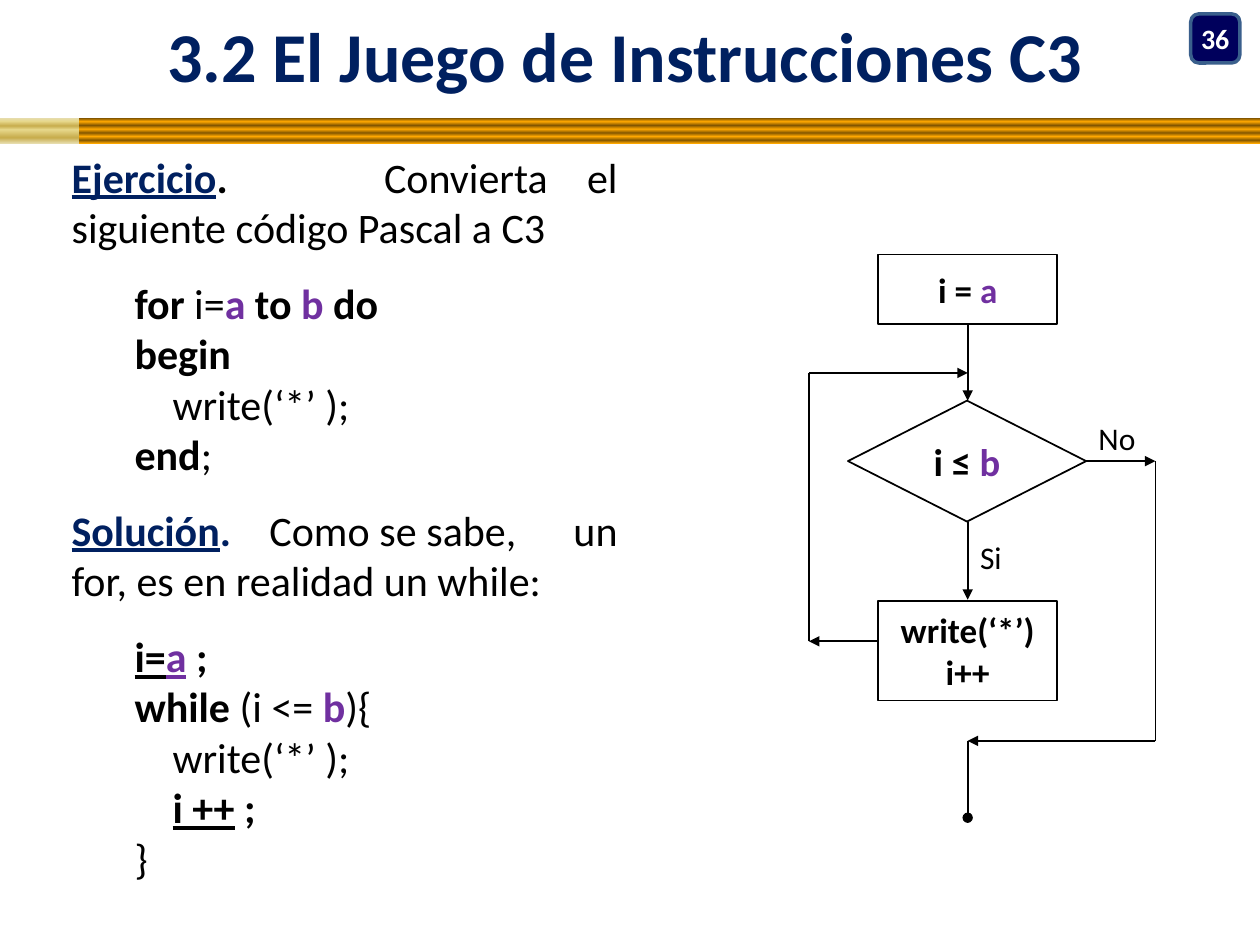
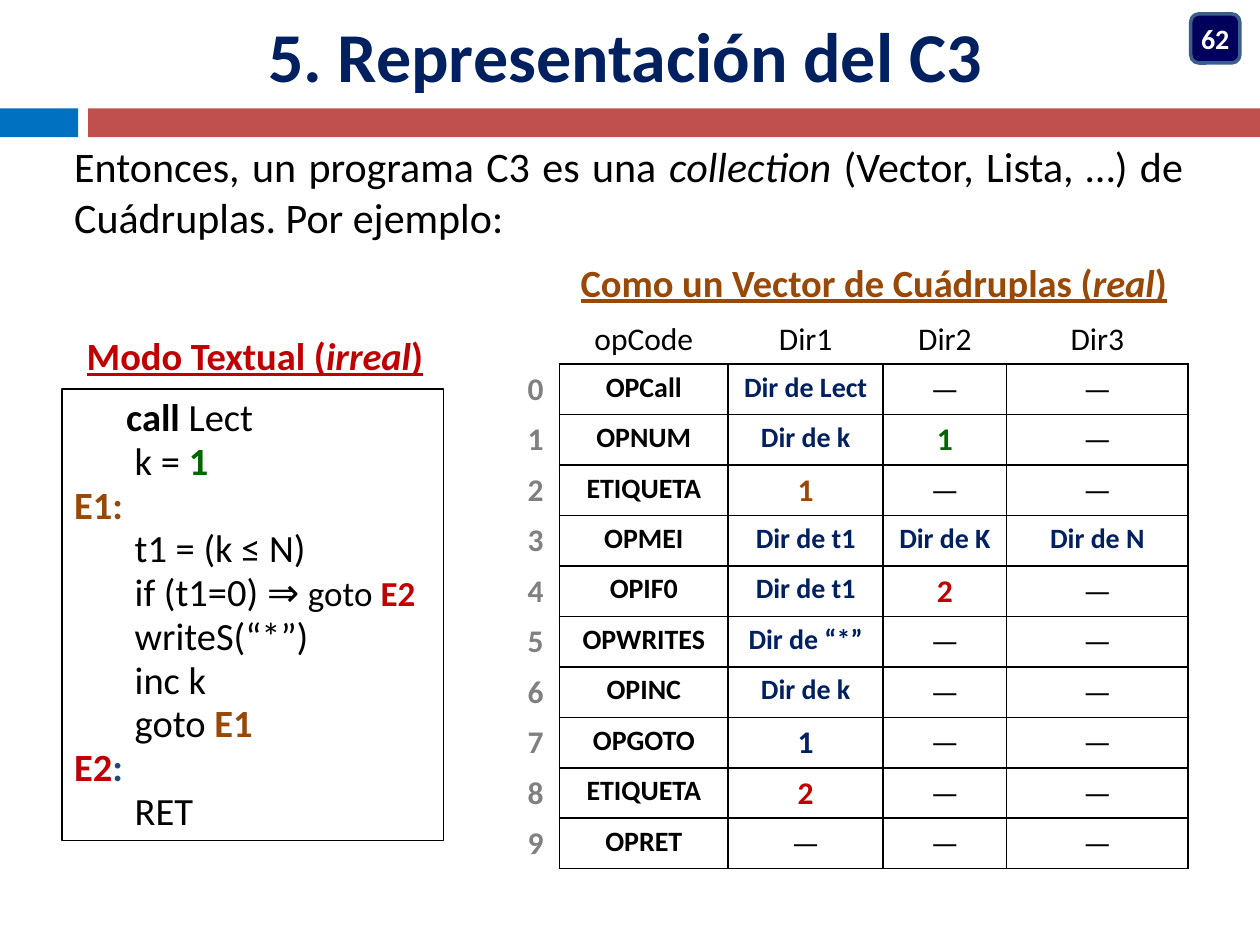
import pptx
import pptx.util
import pptx.dml.color
import pptx.enum.shapes
import pptx.enum.text
import pptx.oxml.ns
from lxml import etree

Inches, Pt = pptx.util.Inches, pptx.util.Pt
RGBColor = pptx.dml.color.RGBColor
SHAPE = pptx.enum.shapes.MSO_SHAPE
ALIGN = pptx.enum.text.PP_ALIGN
ANCHOR = pptx.enum.text.MSO_ANCHOR
FIT = pptx.enum.text.MSO_AUTO_SIZE
qn = pptx.oxml.ns.qn

NAVY = RGBColor(0x00, 0x20, 0x60)
PURPLE = RGBColor(0x70, 0x30, 0xA0)
BLACK = RGBColor(0x00, 0x00, 0x00)
WHITE = RGBColor(0xFF, 0xFF, 0xFF)
GREEN = RGBColor(0x00, 0x66, 0x00)
BROWN = RGBColor(0x98, 0x48, 0x07)
RED = RGBColor(0xC0, 0x00, 0x00)
GREY = RGBColor(0x80, 0x80, 0x80)
SLATE = RGBColor(0x1F, 0x49, 0x7D)
BADGE_FILL = RGBColor(0x00, 0x00, 0x5C)
BADGE_LINE = RGBColor(0x3A, 0x5F, 0x8C)
BLUE_BAND = RGBColor(0x00, 0x70, 0xC0)
RED_BAND = RGBColor(0xC0, 0x50, 0x4D)

BOLD = dict(bold=True)
UNDERLINED = dict(bold=True, underline=True)
VARIABLE = dict(bold=True, color=PURPLE)
HEADING = dict(UNDERLINED, color=NAVY)


def write(frame, paragraphs, layout, base):
    for number, (extra, runs) in enumerate(paragraphs):
        paragraph = frame.paragraphs[0] if number == 0 else frame.add_paragraph()
        properties = paragraph._p.get_or_add_pPr()
        for key, value in {**layout, **extra}.items():
            if key == "indent":
                properties.set("marL", str(Inches(value)))
                properties.set("indent", "0")
            elif key == "tabs":
                stops = etree.SubElement(properties, qn("a:tabLst"))
                for stop in value:
                    etree.SubElement(stops, qn("a:tab"), pos=str(Inches(stop)), algn="l")
            else:
                setattr(paragraph, key, value)
        for text, style in runs:
            run = paragraph.add_run()
            run.text = text
            for key, value in {"name": "Calibri", "color": BLACK, **base, **style}.items():
                if key == "color":
                    run.font.color.rgb = value
                else:
                    setattr(run.font, key, value)


def add_box(slide, kind, place, fill=None, line=None, width=1):
    box = slide.shapes.add_shape(kind, *map(Inches, place))
    box.shadow.inherit = False
    if fill is None:
        box.fill.background()
    else:
        box.fill.solid()
        box.fill.fore_color.rgb = fill
    if line is None:
        box.line.fill.background()
    else:
        box.line.color.rgb = line
        box.line.width = Pt(width)
    return box


deck = pptx.Presentation()
deck.slide_width, deck.slide_height = Inches(10), Inches(7.5)
CENTER = dict(alignment=ALIGN.CENTER)
JUSTIFY = dict(alignment=ALIGN.JUSTIFY)

slides = []
for heading, page in (("3.2 El Juego de Instrucciones C3", "36"), ("5. Representación del C3", "62")):
    slide = deck.slides.add_slide(deck.slide_layouts[5])
    slides.append(slide)
    title = slide.shapes.title
    title.left, title.top, title.width, title.height = map(Inches, (0, 0, 9.92, 0.86))
    badge = add_box(slide, SHAPE.ROUNDED_RECTANGLE, (9.45, 0.11, 0.39, 0.39), BADGE_FILL, BADGE_LINE, 2)
    for part, text, size, color, vertical in (
        (title, heading, 40, NAVY, 0),
        (badge, page, 16, WHITE, 0.05),
    ):
        settings = dict(
            margin_left=0, margin_right=0, margin_top=Inches(vertical), margin_bottom=Inches(vertical),
            vertical_anchor=ANCHOR.MIDDLE, auto_size=FIT.NONE,
        )
        for key, value in settings.items():
            setattr(part.text_frame, key, value)
        write(part.text_frame, [({}, [(text, {})])], CENTER, dict(size=Pt(size), bold=True, color=color))
exercise, representation = slides

amber = list(zip((0, 13, 28, 43, 58, 72, 87, 100), ("825600", "FFA800") * 4))
sand = list(zip((0, 12, 30, 45, 77, 100), ("E6DCAC", "E6D78A", "C7AC4C", "E6D78A", "C7AC4C", "E6DCAC")))
for width, stops in ((10, amber), (0.63, sand)):
    band = add_box(exercise, SHAPE.RECTANGLE, (0, 0.94, width, 0.2))
    band.fill.gradient()
    band.fill.gradient_angle = 270
    stop_list = band.element.spPr.find(".//" + qn("a:gsLst"))
    for old in list(stop_list):
        stop_list.remove(old)
    for position, color in stops:
        stop = etree.SubElement(stop_list, qn("a:gs"), pos=str(position * 1000))
        etree.SubElement(stop, qn("a:srgbClr"), val=color)

code = dict(indent=0.5)
code_start = dict(code, space_before=Pt(14.5))
statement = exercise.shapes.add_textbox(*map(Inches, (0.47, 1.15, 4.53, 5.67)))
statement.text_frame.word_wrap = True
write(statement.text_frame, [
    (dict(tabs=[2.48]), [
        ("Ejercicio", HEADING), (".\t", BOLD), ("Convierta el siguiente código Pascal a C3", {})]),
    (code_start, [("for", BOLD), (" i=", {}), ("a ", VARIABLE), ("to ", BOLD), ("b", VARIABLE), (" do", BOLD)]),
    (code, [("begin", BOLD)]),
    (code, [("    write(‘*’ );", {})]),
    (code, [("end", BOLD), (";", {})]),
    (dict(space_before=Pt(14.5), tabs=[1.57, 3.98]), [
        ("Solución", HEADING), (".", dict(bold=True, color=NAVY)),
        ("\tComo se sabe,\tun for, es en realidad un while:", {})]),
    (code_start, [("i=", UNDERLINED), ("a", dict(VARIABLE, underline=True)), (" ;", BOLD)]),
    (code, [("while ", BOLD), ("(i <= ", {}), ("b", VARIABLE), ("){", {})]),
    (code, [("    write(‘*’ );", {})]),
    (code, [("    ", {}), ("i ++", UNDERLINED), (" ;", BOLD)]),
    (code, [("}", {})]),
], JUSTIFY, dict(size=Pt(24)))

for kind, place, size, lines in (
    (SHAPE.RECTANGLE, (6.97, 2.02, 1.42, 0.55), 20, [[("i = ", {}), ("a", VARIABLE)]]),
    (SHAPE.FLOWCHART_DECISION, (6.73, 3.18, 1.89, 0.96), 22, [[("i ≤ ", {}), ("b", VARIABLE)]]),
    (SHAPE.RECTANGLE, (6.97, 4.77, 1.42, 0.79), 20, [[("write(‘*’)", {})], [("i++", {})]]),
):
    step = add_box(exercise, kind, place, line=BLACK)
    step.text_frame.vertical_anchor = ANCHOR.MIDDLE
    write(step.text_frame, [({}, runs) for runs in lines], CENTER, dict(size=Pt(size), bold=True))

for text, place in (("No", (8.62, 3.28, 0.5, 0.4)), ("Si", (7.68, 4.22, 0.38, 0.4))):
    branch = exercise.shapes.add_textbox(*map(Inches, place))
    branch.text_frame.word_wrap = False
    branch.text_frame.auto_size = FIT.SHAPE_TO_FIT_TEXT
    write(branch.text_frame, [({}, [(text, {})])], {}, dict(size=Pt(18)))

axis, loop_x, exit_x = 7.68, 6.42, 9.17
for start, end, tip in (
    ((axis, 2.57), (axis, 3.18), "triangle"),
    ((axis, 4.14), (axis, 4.76), "triangle"),
    ((8.62, 3.66), (exit_x, 3.66), "triangle"),
    ((exit_x, 3.66), (exit_x, 5.88), None),
    ((exit_x, 5.88), (axis, 5.88), "triangle"),
    ((axis, 5.88), (axis, 6.49), "oval"),
    ((6.97, 5.09), (loop_x, 5.09), "triangle"),
    ((loop_x, 5.09), (loop_x, 2.96), None),
    ((loop_x, 2.96), (axis, 2.96), "triangle"),
):
    flow = exercise.shapes.add_connector(
        pptx.enum.shapes.MSO_CONNECTOR.STRAIGHT, *map(Inches, start + end))
    flow.line.color.rgb = BLACK
    flow.line.width = Pt(1)
    outline = flow.element.spPr
    if tip:
        etree.SubElement(outline.find(qn("a:ln")), qn("a:tailEnd"), type=tip)
    etree.SubElement(outline, qn("a:effectLst"))

add_box(representation, SHAPE.RECTANGLE, (0, 0.86, 0.62, 0.23), BLUE_BAND)
add_box(representation, SHAPE.RECTANGLE, (0.7, 0.86, 9.3, 0.23), RED_BAND)

intro = representation.shapes.add_textbox(*map(Inches, (0.49, 1.07, 9, 5.67)))
intro.text_frame.word_wrap = True
write(intro.text_frame, [({}, [
    ("Entonces, un programa C3 es una ", {}), ("collection", dict(italic=True)),
    (" (Vector, Lista, …) de Cuádruplas. Por ejemplo:", {}),
])], JUSTIFY, dict(size=Pt(24)))

quadruples = [
    ("OPCall", "Dir de Lect", "—", "—"),
    ("OPNUM", "Dir de k", "1", "—"),
    ("ETIQUETA", "1", "—", "—"),
    ("OPMEI", "Dir de t1", "Dir de K", "Dir de N"),
    ("OPIF0", "Dir de t1", "2", "—"),
    ("OPWRITES", "Dir de “*”", "—", "—"),
    ("OPINC", "Dir de k", "—", "—"),
    ("OPGOTO", "1", "—", "—"),
    ("ETIQUETA", "2", "—", "—"),
    ("OPRET", "—", "—", "—"),
]
number_colors = {(1, 2): GREEN, (2, 1): BROWN, (4, 2): RED, (7, 1): NAVY, (8, 1): RED}
rows = [("", "opCode", "Dir1", "Dir2", "Dir3")]
rows += [(str(index), *quadruple) for index, quadruple in enumerate(quadruples)]

vector = representation.shapes.add_table(12, 5, *map(Inches, (4.06, 2.02, 5.37, 4.93))).table
vector.first_row = vector.horz_banding = False
vector._tbl.tblPr.find(qn("a:tableStyleId")).text = "{2D5ABB26-0587-4C30-8999-92F81FD0307C}"
for column, width in zip(vector.columns, (0.38, 1.34, 1.23, 0.98, 1.44)):
    column.width = Inches(width)
for row in vector.rows:
    row.height = Inches(0.4)
vector.rows[0].height = Inches(0.47)
vector.cell(0, 1).merge(vector.cell(0, 4))
write(vector.cell(0, 1).text_frame, [({}, [
    ("Como un Vector de Cuádruplas (", {}), ("real", dict(italic=True)), (")", {}),
])], CENTER, dict(UNDERLINED, size=Pt(22), color=BROWN))

for r, row in enumerate(rows, 1):
    for c, text in enumerate(row):
        cell = vector.cell(r, c)
        cell.fill.background()
        style = dict(size=Pt(18), bold=r > 1 and text != "—")
        if c == 0:
            style.update(color=GREY)
        elif r > 1 and c == 1:
            style.update(size=Pt(16))
        elif text.startswith("Dir de"):
            style.update(size=Pt(16), color=NAVY)
        elif text.isdigit():
            style.update(color=number_colors[r - 2, c - 1])
        if text:
            write(cell.text_frame, [({}, [(text, style)])], CENTER, {})
        sides = ("LRTB" if c else "R") if r > 1 else ("B" if c else "")
        for place, side in enumerate(sides):
            edge = etree.Element(qn("a:ln" + side), w=str(Pt(1)))
            fill = etree.SubElement(edge, qn("a:solidFill"))
            etree.SubElement(fill, qn("a:srgbClr"), val=str(BLACK))
            cell._tc.get_or_add_tcPr().insert(place, edge)

label_1, label_2 = dict(bold=True, color=BROWN), dict(bold=True, color=RED)
listing = add_box(representation, SHAPE.RECTANGLE, (0.49, 3.09, 3.03, 3.58), line=BLACK)
listing.text_frame.vertical_anchor = ANCHOR.TOP
write(listing.text_frame, [({}, runs) for runs in (
    [("      ", {}), ("call", BOLD), (" Lect", {})],
    [("       k = ", {}), ("1", dict(bold=True, color=GREEN))],
    [("E1:", label_1)],
    [("       t1 = (k ≤ N)", {})],
    [("       if (t1=0) ⇒ ", {}), ("goto ", dict(size=Pt(20))), ("E2", dict(label_2, size=Pt(20)))],
    [("       writeS(“*”)", {})],
    [("       inc k", {})],
    [("       goto ", {}), ("E1", label_1)],
    [("E2", label_2), (":", dict(bold=True, color=SLATE))],
    [("       RET", {})],
)], dict(JUSTIFY, line_spacing=Pt(25)), dict(size=Pt(22)))

caption = representation.shapes.add_textbox(*map(Inches, (0.59, 2.62, 2.93, 0.44)))
caption.text_frame.word_wrap = True
caption.text_frame.auto_size = FIT.SHAPE_TO_FIT_TEXT
write(caption.text_frame, [({}, [
    ("Modo Textual (", {}), ("irreal", dict(italic=True)), (")", {}),
])], dict(JUSTIFY, line_spacing=Pt(24)), dict(UNDERLINED, size=Pt(22), color=RED))

deck.save("out.pptx")
